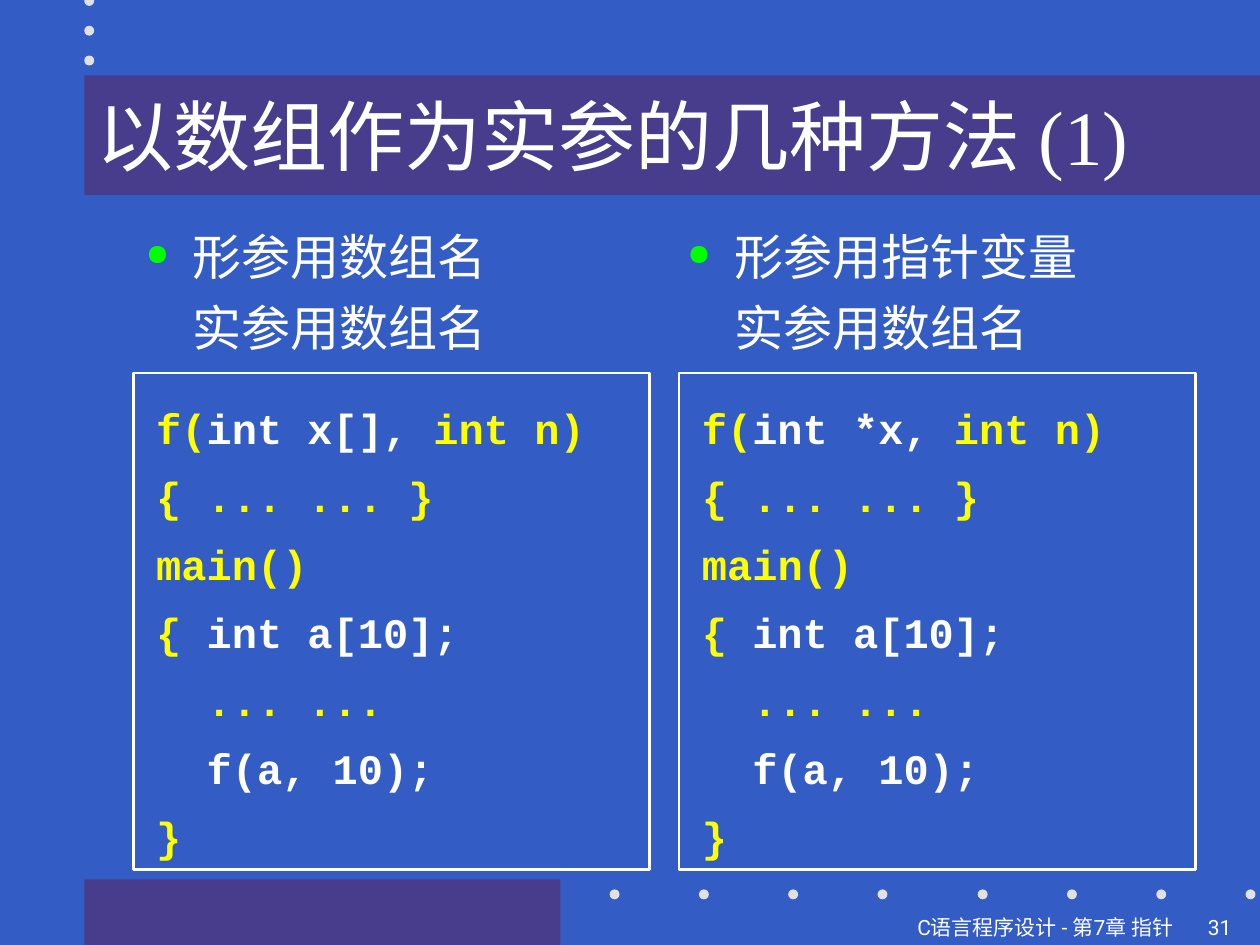
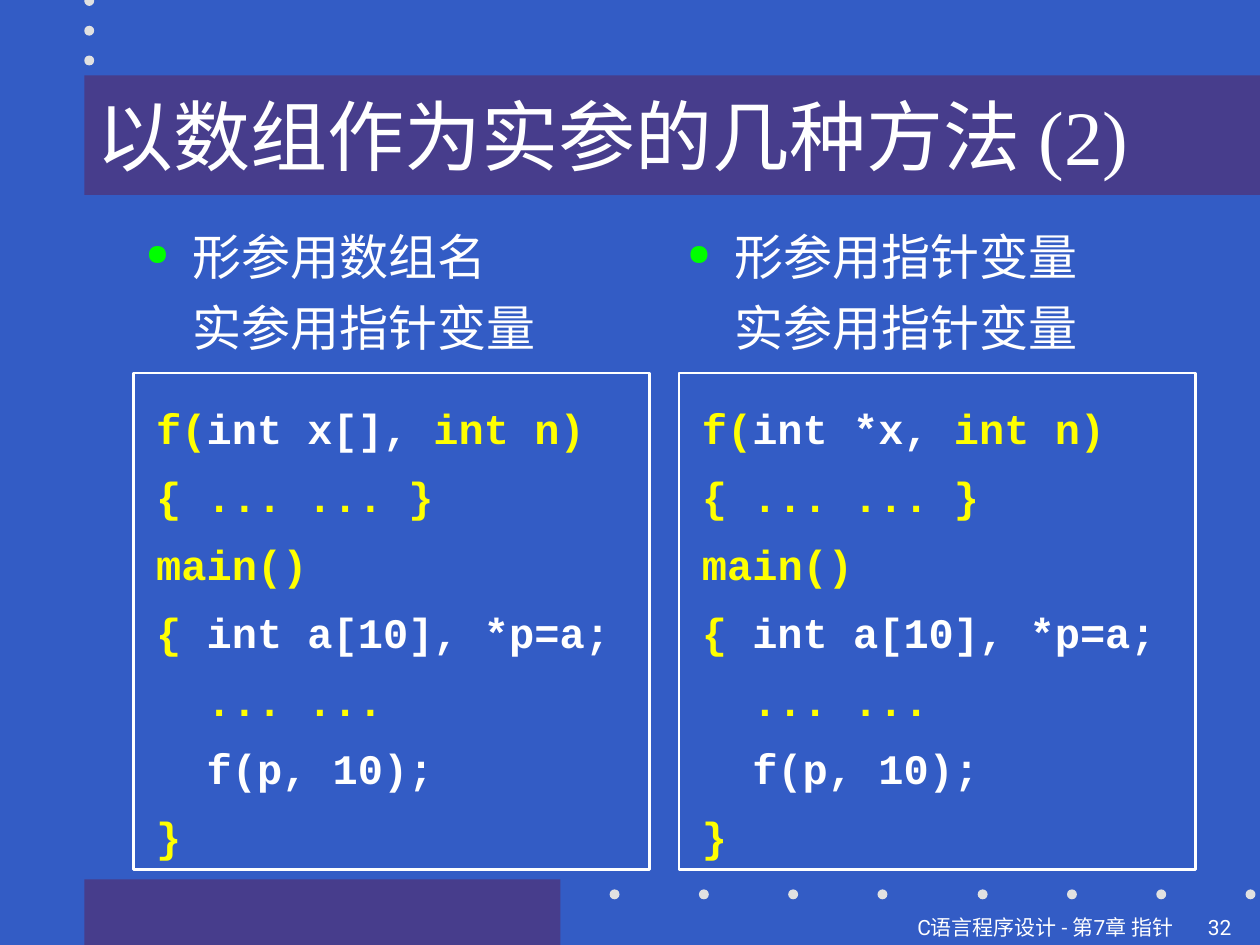
from dataclasses import dataclass

from lxml.etree import SubElement
from pptx import Presentation
from pptx.dml.color import RGBColor as Rgb
from pptx.enum.shapes import MSO_SHAPE as Shape
from pptx.enum.text import MSO_ANCHOR as Anchor, PP_ALIGN as Align
from pptx.oxml.ns import qn
from pptx.util import Cm, Pt


@dataclass(frozen=True)
class Theme:
    background: str = "335CC5"
    band: str = "473D8C"
    dot: str = "E1E1E1"
    white: str = "FFFFFF"
    yellow: str = "FFFF00"
    bullet: str = "00FF00"
    serif: str = "Times New Roman"
    mono: str = "Courier New"
    sans: str = "Roboto"
    title_size: int = 44
    body_size: int = 28
    code_size: int = 24
    footer_size: int = 12


theme = Theme()


def add_box(page, kind, left, top, width, height, fill=None):
    """Add a preset shape without outline, or a text box when kind is None."""
    place = Cm(left), Cm(top), Cm(width), Cm(height)
    if kind is None:
        box = page.shapes.add_textbox(*place)
    else:
        box = page.shapes.add_shape(kind, *place)
        box.shadow.inherit = False
        box.line.fill.background()
        if fill:
            box.fill.solid()
            box.fill.fore_color.rgb = Rgb.from_string(fill)
        else:
            box.fill.background()
    box.text_frame.word_wrap = True
    return box


def add_run(para, text, font, size, colour=theme.white, bold=False):
    span = para.add_run()
    span.text = text
    span.font.name = font
    span.font.size = Pt(size)
    span.font.bold = bold
    span.font.color.rgb = Rgb.from_string(colour)


ARRAY, POINTER = "用数组名", "用指针变量"
COLUMN_LEFTS = [(2.69, 2.69), (13.61, 13.69)]  # heading, code frame
PARAMETERS = [(ARRAY, "int x[],"), (POINTER, "int *x,")]

# number, page number, kind of argument, declaration in main, call
methods = [
    (1, 31, ARRAY, "int a[10];", "f(a, 10);"),
    (2, 32, POINTER, "int a[10], *p=a;", "f(p, 10);"),
]

DOT = 0.2
dot_places = [(1.7, -0.08 + 0.6 * row) for row in range(3)]
dot_places += [(start + 1.8 * step, 17.93)
               for start in (12.29, 19.71) for step in range(4)]

deck = Presentation()
deck.slide_width, deck.slide_height = Cm(25.4), Cm(19.05)
backdrop = deck.slide_master.background.fill
backdrop.solid()
backdrop.fore_color.rgb = Rgb.from_string(theme.background)

for number, page_number, argument, declaration, call in methods:
    page = deck.slides.add_slide(deck.slide_layouts[6])

    # Bands, dots and title
    add_box(page, Shape.RECTANGLE, 1.7, 17.73, 9.6, 1.32, theme.band)
    for left, top in dot_places:
        add_box(page, Shape.OVAL, left, top, DOT, DOT, theme.dot)
    title = add_box(page, Shape.RECTANGLE, 1.7, 1.52, 23.7, 2.41, theme.band)
    title.text_frame.vertical_anchor = Anchor.MIDDLE
    para = title.text_frame.paragraphs[0]
    para.alignment = Align.LEFT
    add_run(para, f"以数组作为实参的几种方法 ({number})", theme.serif, theme.title_size)

    for (heading_left, code_left), (parameter, signature) in zip(COLUMN_LEFTS, PARAMETERS):
        # Bulleted heading with an aligned second line
        heading = add_box(page, None, heading_left, 4.45, 10.52, 13.28).text_frame
        para = heading.paragraphs[0]
        properties = para._p.get_or_add_pPr()
        properties.set("marL", str(Cm(0.95)))
        properties.set("indent", str(-Cm(0.95)))
        colour = SubElement(properties, qn("a:buClr"))
        SubElement(colour, qn("a:srgbClr"), val=theme.bullet)
        SubElement(properties, qn("a:buSzPct"), val="60000")
        SubElement(properties, qn("a:buChar"), char="●")
        add_run(para, "形参" + parameter, theme.serif, theme.body_size)

        para = heading.add_paragraph()
        para.space_before = Pt(7)
        para._p.get_or_add_pPr().set("marL", str(Cm(0.95)))
        add_run(para, "实参" + argument, theme.serif, theme.body_size)

        # Framed code, with the parts to notice in white
        frame = add_box(page, Shape.RECTANGLE, code_left, 7.52, 10.41, 10.01)
        frame.line.color.rgb = Rgb.from_string(theme.white)
        frame.line.width = Pt(1.5)
        code = frame.text_frame
        code.vertical_anchor = Anchor.TOP
        code.margin_left = code.margin_right = Cm(0.46)
        code.margin_top, code.margin_bottom = Cm(0.23), Cm(0.43)
        code_lines = [
            [("f(", theme.yellow), (signature, theme.white), (" int n)", theme.yellow)],
            [("{ ... ... }", theme.yellow)],
            [("main()", theme.yellow)],
            [("{ ", theme.yellow), (declaration, theme.white)],
            [("  ... ...", theme.yellow)],
            [("  ", theme.yellow), (call, theme.white)],
            [("}", theme.yellow)],
        ]
        for index, parts in enumerate(code_lines):
            para = code.add_paragraph() if index else code.paragraphs[0]
            para.alignment = Align.LEFT
            para.line_spacing = 1.35
            for text, colour in parts:
                add_run(para, text, theme.mono, theme.code_size, colour, bold=True)

    # Footer and page number
    for left, width, align, text in [
        (0, 23.9, Align.RIGHT, "C语言程序设计 - 第7章 指针"),
        (24.1, 1.3, Align.LEFT, str(page_number)),
    ]:
        footer = add_box(page, None, left, 18.31, width, 0.71)
        para = footer.text_frame.paragraphs[0]
        para.alignment = align
        add_run(para, text, theme.sans, theme.footer_size)

deck.save("out.pptx")
